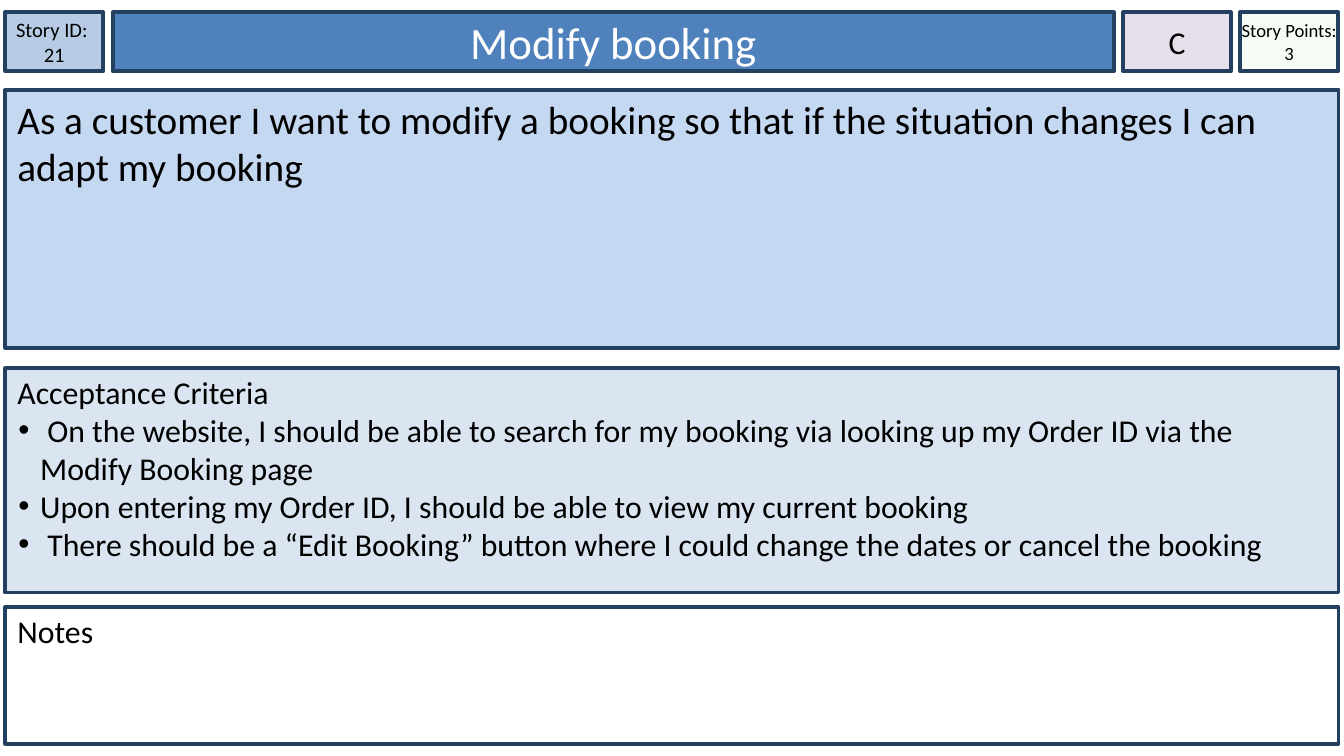
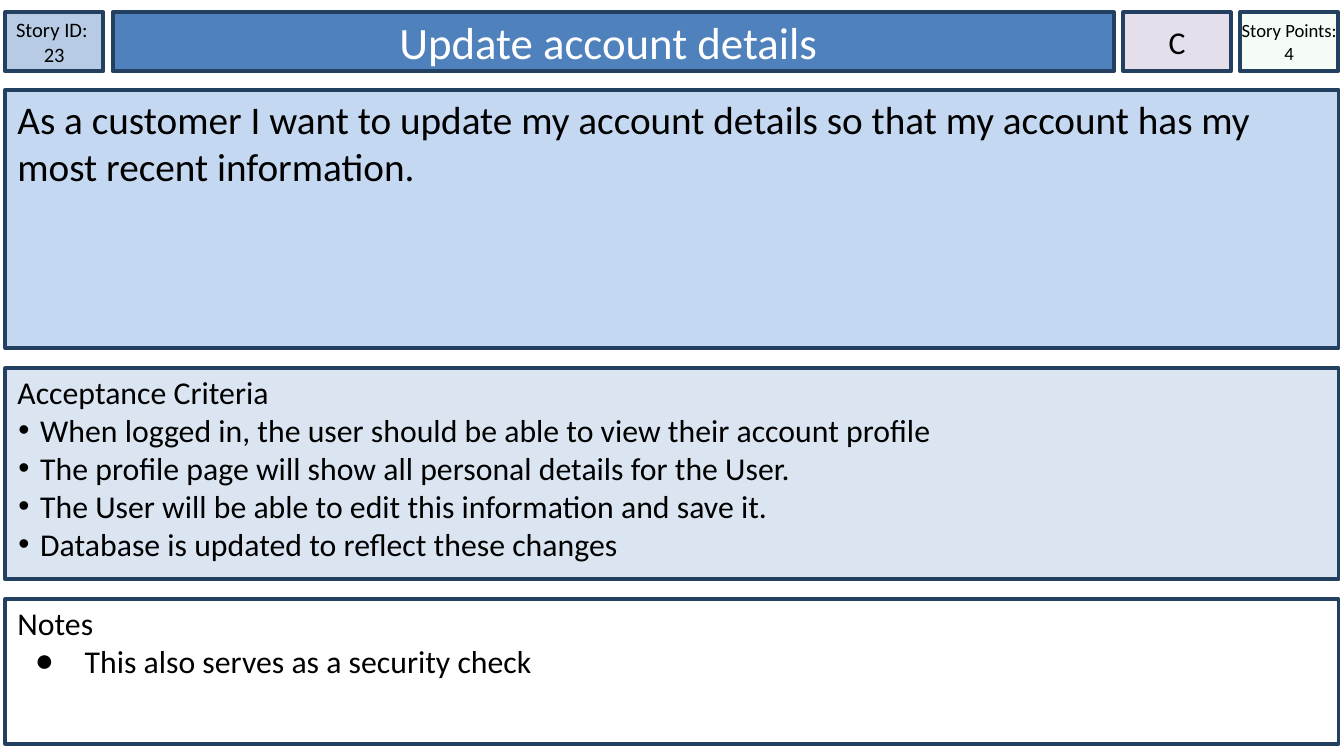
import pptx
import pptx.dml.color
import pptx.enum.shapes
import pptx.enum.text
import pptx.oxml.ns
import pptx.util
from lxml import etree

Cm = pptx.util.Cm
Pt = pptx.util.Pt
ALIGN = pptx.enum.text.PP_ALIGN
ANCHOR = pptx.enum.text.MSO_ANCHOR

FONT = "Calibri"
BLACK, WHITE, BORDER = "000000", "FFFFFF", "244061"
ID_FILL, TITLE_FILL, PRIORITY_FILL, POINTS_FILL = "B7CCE4", "4F81BD", "E5DFEC", "CCF0CD"
STORY_FILL, CRITERIA_FILL = "C5D8F1", "DAE5F1"

EDGE, PANEL_WIDTH, PANEL_BOTTOM = 0.1, 25.2, 14.06
HEADER_TOP, HEADER_HEIGHT, HEADER_GAP = 0.23, 1.12, 0.18
CRITERIA_TOP = 6.96
CRITERIA_BULLET = ("•", 0.43, 0.41)
NOTES_BULLET = ("●", 1.27, 0.94)

STORIES = [
    {
        "id": "21",
        "title": "Modify booking",
        "priority": "C",
        "points": "3",
        "story": "As a customer I want to modify a booking so that if the situation "
                 "changes I can adapt my booking",
        "criteria": [
            " On the website, I should be able to search for my booking via looking up "
            "my Order ID via the Modify Booking page",
            "Upon entering my Order ID, I should be able to view my current booking",
            " There should be a “Edit Booking” button where I could change the dates "
            "or cancel the booking",
        ],
        "criteria_height": 4.24,
        "notes": [],
        "notes_top": 11.48,
    },
    {
        "id": "23",
        "title": "Update account details ",
        "priority": "C",
        "points": "4",
        "story": "As a customer I want to update my account details so that my account "
                 "has my most recent information.",
        "criteria": [
            "When logged in, the user should be able to view their account profile",
            "The profile page will show all personal details for the User.",
            "The User will be able to edit this information and save it.",
            "Database is updated to reflect these changes",
        ],
        "criteria_height": 3.99,
        "notes": ["This also serves as a security check"],
        "notes_top": 11.33,
    },
]


def color(hex_string):
    return pptx.dml.color.RGBColor.from_string(hex_string)


def add_element(parent, tag, **attributes):
    return etree.SubElement(parent, pptx.oxml.ns.qn(tag), attributes)


def add_bullet(paragraph, symbol, indent, hanging):
    properties = paragraph._p.get_or_add_pPr()
    properties.set("marL", str(Cm(indent)))
    properties.set("indent", str(-Cm(hanging)))
    bullet_color = add_element(properties, "a:buClr")
    add_element(bullet_color, "a:srgbClr", val=BLACK)
    add_element(properties, "a:buFont", typeface="Arial")
    add_element(properties, "a:buChar", char=symbol)


def add_text(frame, text, size=17, ink=BLACK, align=ALIGN.LEFT, bullet=None, first=True):
    paragraph = frame.paragraphs[0] if first else frame.add_paragraph()
    paragraph.alignment = align
    if bullet:
        add_bullet(paragraph, *bullet)
    run = paragraph.add_run()
    run.text = text
    run.font.name = FONT
    run.font.size = Pt(size)
    run.font.color.rgb = color(ink)


def add_box(slide, left, top, width, height, fill, side_inset=0.23, top_inset=0.1,
            anchor=ANCHOR.TOP, opacity=None):
    box = slide.shapes.add_shape(pptx.enum.shapes.MSO_SHAPE.RECTANGLE,
                                 Cm(left), Cm(top), Cm(width), Cm(height))
    box.shadow.inherit = False
    box.fill.solid()
    box.fill.fore_color.rgb = color(fill)
    if opacity is not None:
        fill_color = box._element.spPr.find(".//" + pptx.oxml.ns.qn("a:srgbClr"))
        add_element(fill_color, "a:alpha", val=str(opacity * 1000))
    box.line.color.rgb = color(BORDER)
    box.line.width = Pt(2)
    frame = box.text_frame
    frame.word_wrap = True
    frame.vertical_anchor = anchor
    frame.margin_left = frame.margin_right = Cm(side_inset)
    frame.margin_top, frame.margin_bottom = Cm(top_inset), Cm(0.1)
    return frame


def add_header(slide, story):
    cells = [
        (1.85, ID_FILL, None, ["Story ID: ", story["id"]], 11, BLACK, 0),
        (18.92, TITLE_FILL, None, [story["title"]], 24, WHITE, 0.23),
        (2.03, PRIORITY_FILL, None, [story["priority"]], 17, BLACK, 0),
        (1.85, POINTS_FILL, 20, ["Story Points: " + story["points"]], 10, BLACK, 0),
    ]
    left = EDGE
    for width, fill, opacity, lines, size, ink, inset in cells:
        frame = add_box(slide, left, HEADER_TOP, width, HEADER_HEIGHT, fill,
                        side_inset=inset, anchor=ANCHOR.MIDDLE, opacity=opacity)
        for index, line in enumerate(lines):
            add_text(frame, line, size=size, ink=ink, align=ALIGN.CENTER, first=index == 0)
        left += width + HEADER_GAP


def add_list_panel(slide, top, height, fill, heading, items, bullet):
    frame = add_box(slide, EDGE, top, PANEL_WIDTH, height, fill, top_inset=0.08)
    add_text(frame, heading)
    for item in items:
        add_text(frame, item, bullet=bullet, first=False)


def add_story_card(deck, story):
    slide = deck.slides.add_slide(deck.slide_layouts[6])
    add_header(slide, story)
    add_text(add_box(slide, EDGE, 1.7, PANEL_WIDTH, 4.88, STORY_FILL), story["story"], size=21)
    add_list_panel(slide, CRITERIA_TOP, story["criteria_height"], CRITERIA_FILL,
                   "Acceptance Criteria", story["criteria"], CRITERIA_BULLET)
    add_list_panel(slide, story["notes_top"], PANEL_BOTTOM - story["notes_top"], WHITE,
                   "Notes", story["notes"], NOTES_BULLET)


def main():
    deck = pptx.Presentation()
    deck.slide_width, deck.slide_height = Cm(25.4), Cm(14.29)
    for story in STORIES:
        add_story_card(deck, story)
    deck.save("out.pptx")


if __name__ == "__main__":
    main()
